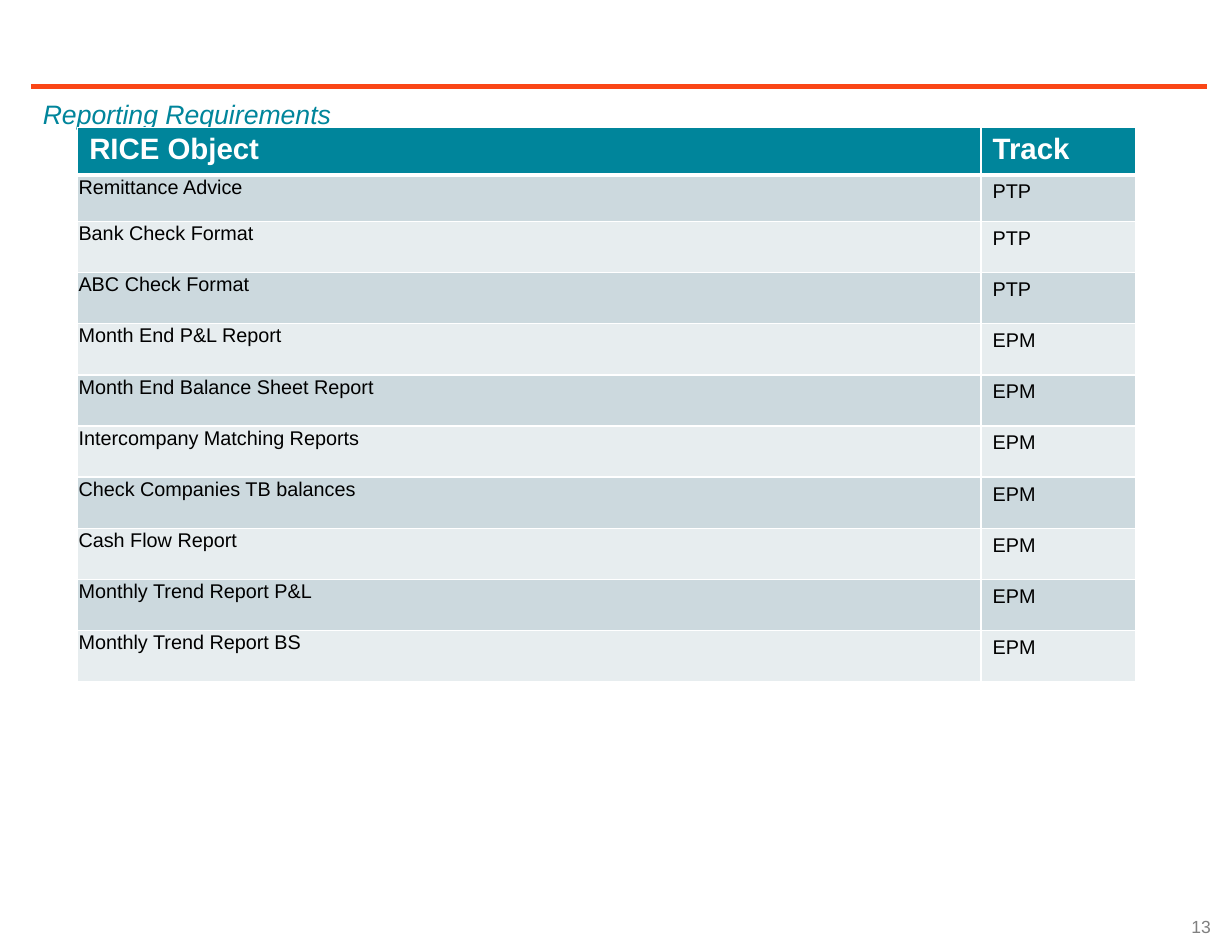
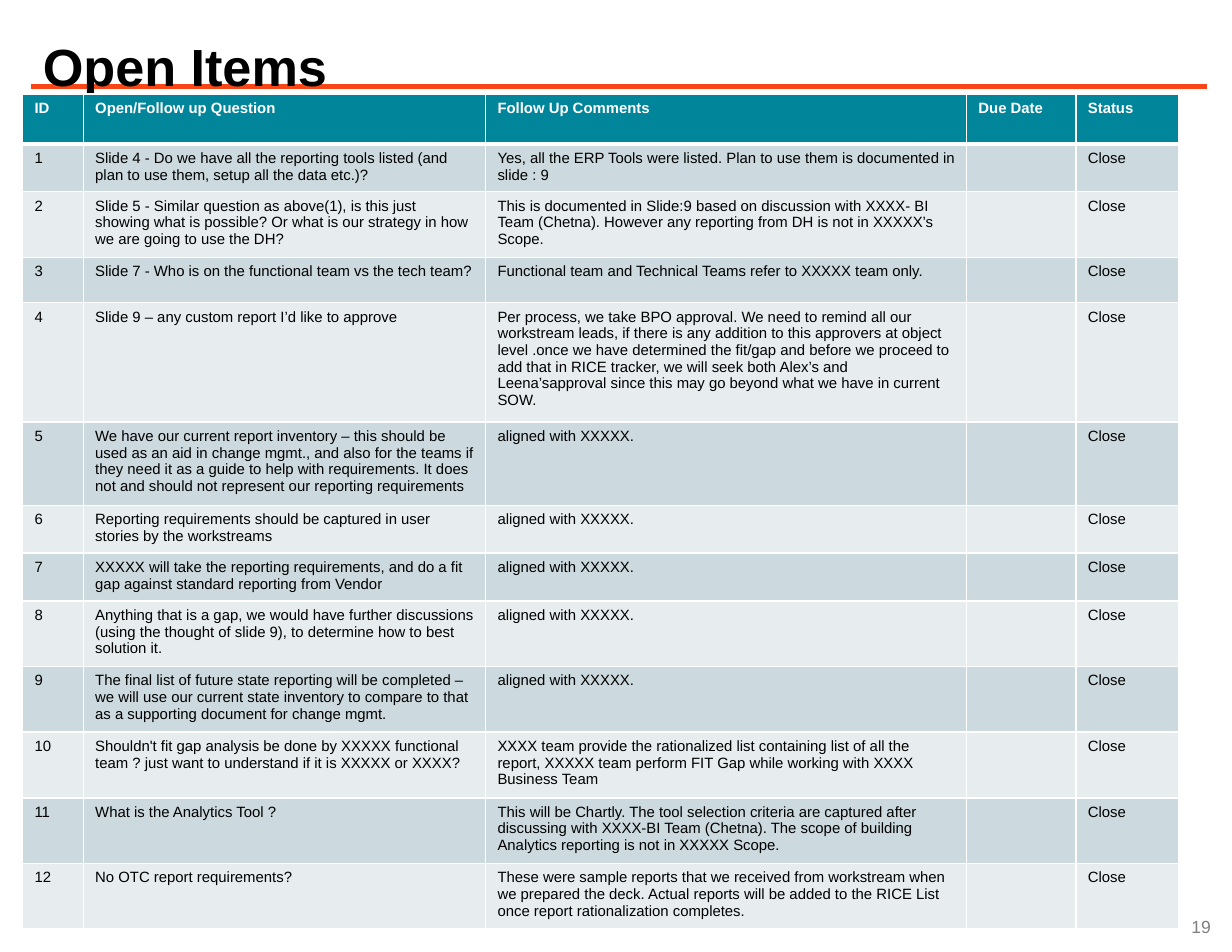
from pptx import Presentation
from pptx.dml.color import RGBColor
from pptx.enum.shapes import MSO_CONNECTOR as Link
from pptx.enum.text import MSO_ANCHOR as Anchor, MSO_AUTO_SIZE as Fit, PP_ALIGN as Align
from pptx.oxml.ns import qn
from pptx.util import Inches, Pt
from lxml.etree import SubElement

WIDE, HIGH = 10.35, 8
EDGE, SPAN, RULE = 0.26, 9.88, 0.73
FONT = "Arial"
TEAL, ORANGE, GREY = "00859B", "FA4616", "808080"
BLACK, WHITE = "000000", "FFFFFF"
BANDS = "CCD9DE", "E7EDEF"

REPORTS = [
    ("RICE Object", "Track"),
    ("Remittance Advice", "PTP"),
    ("Bank Check Format", "PTP"),
    ("ABC Check Format", "PTP"),
    ("Month End P&L Report", "EPM"),
    ("Month End Balance Sheet Report", "EPM"),
    ("Intercompany Matching Reports", "EPM"),
    ("Check Companies TB balances", "EPM"),
    ("Cash Flow Report", "EPM"),
    ("Monthly Trend Report P&L", "EPM"),
    ("Monthly Trend Report BS", "EPM"),
]

ALIGNED = "aligned with XXXXX."
# Lines of text in the row, question, comment
ITEMS = [
    (2, "Slide 4 - Do we have all the reporting tools listed (and plan to use them, "
        "setup all the data etc.)?",
     "Yes, all the ERP Tools were listed. Plan to use them is documented in slide : 9"),
    (3, "Slide 5 - Similar question as above(1), is this just showing what is possible? "
        "Or what is our strategy in how we are going to use the DH?",
     "This is documented in Slide:9 based on discussion with XXXX- BI Team (Chetna). "
     "However any reporting from DH is not in XXXXX’s Scope."),
    (2, "Slide 7 - Who is on the functional team vs the tech team?",
     "Functional team and Technical Teams refer to XXXXX team only."),
    (6, "Slide 9 – any custom report I’d like to approve",
     "Per process, we take BPO approval. We need to remind all our workstream leads, "
     "if there is any addition to this approvers at object level .once we have "
     "determined the fit/gap and before we proceed to add that in RICE tracker, we "
     "will seek both Alex’s and Leena’sapproval since this may go beyond what we "
     "have in current SOW."),
    (4, "We have our current report inventory – this should be used as an aid in change "
        "mgmt., and also for the teams if they need it as a guide to help with "
        "requirements. It does not and should not represent our reporting requirements",
     ALIGNED),
    (2, "Reporting requirements should be captured in user stories by the workstreams",
     ALIGNED),
    (2, "XXXXX will take the reporting requirements, and do a fit gap against standard "
        "reporting from Vendor", ALIGNED),
    (3, "Anything that is a gap, we would have further discussions (using the thought "
        "of slide 9), to determine how to best solution it.", ALIGNED),
    (3, "The final list of future state reporting will be completed – we will use our "
        "current state inventory to compare to that as a supporting document for "
        "change mgmt.", ALIGNED),
    (3, "Shouldn't fit gap analysis be done by XXXXX functional team ? just want to "
        "understand if it is XXXXX or XXXX?",
     "XXXX team provide the rationalized list containing list of all the report, "
     "XXXXX team perform FIT Gap while working with XXXX Business Team"),
    (3, "What is the Analytics Tool ?",
     "This will be Chartly. The tool selection criteria are captured after discussing "
     "with XXXX-BI Team (Chetna). The scope of building Analytics reporting is not in "
     "XXXXX Scope."),
    (3, "No OTC report requirements?",
     "These were sample reports that we received from workstream when we prepared the "
     "deck. Actual reports will be added to the RICE List once report rationalization "
     "completes."),
]
HEADS = ("ID", "Open/Follow up Question", "Follow Up Comments", "Due Date", "Status")


def color(text):
    return RGBColor.from_string(text)


def style(para, size, tint, bold=False, italic=False):
    font = para.font
    font.name, font.size, font.bold, font.italic = FONT, Pt(size), bold, italic
    font.color.rgb = color(tint)


def border(cell, head):
    """Give the cell white edges, with a thick one under the header."""
    props = cell._tc.get_or_add_tcPr()
    for side in "LRTB":
        width = Pt(3 if head and side == "B" else 1)
        line = SubElement(props, qn("a:ln" + side), w=str(width))
        SubElement(SubElement(line, qn("a:solidFill")), qn("a:srgbClr"), val=WHITE)


def grid(slide, data, left, top, cols, rows, sizes, tight=False):
    """Add a banded table; tight drops the margins of the first column's body."""
    box = [Inches(n) for n in (left, top, sum(cols), sum(rows))]
    table = slide.shapes.add_table(len(rows), len(cols), *box).table
    for col, width in zip(table.columns, cols):
        col.width = Inches(width)
    for r, (row, height) in enumerate(zip(data, rows)):
        table.rows[r].height = Inches(height)
        head = r == 0
        for c, text in enumerate(row):
            cell = table.cell(r, c)
            border(cell, head)
            cell.fill.solid()
            cell.fill.fore_color.rgb = color(TEAL if head else BANDS[(r - 1) % 2])
            if tight and c == 0 and not head:
                cell.margin_left = cell.margin_right = cell.margin_top = Inches(0.01)
                cell.margin_bottom = 0
            para = cell.text_frame.paragraphs[0]
            size = sizes[0 if head else 1]
            if text:
                para.text = text
            else:
                para._p.get_or_add_endParaRPr().set("sz", str(size * 100))
            style(para, size, WHITE if head else BLACK, bold=head)


def page(deck, title, top, height, inset, number, **look):
    """Add a slide with its title, the orange rule and the page number."""
    slide = deck.slides.add_slide(deck.slide_layouts[5])
    head = slide.shapes.title
    head.left, head.top, head.width, head.height = map(Inches, (EDGE, top, SPAN, height))
    frame = head.text_frame
    frame.text = title
    frame.auto_size, frame.vertical_anchor = Fit.NONE, Anchor.TOP
    frame.margin_top = Inches(inset)
    para = frame.paragraphs[0]
    para.alignment = Align.LEFT
    style(para, **look)

    ends = [Inches(n) for n in (EDGE, RULE, EDGE + SPAN, RULE)]
    rule = slide.shapes.add_connector(Link.STRAIGHT, *ends)
    rule.line.color.rgb, rule.line.width = color(ORANGE), Pt(3)
    SubElement(rule._element.spPr, qn("a:effectLst"))
    head._element.addprevious(rule._element)

    box = [Inches(n) for n in (7.94, HIGH - 0.43, 2.33, 0.43)]
    foot = slide.shapes.add_textbox(*box).text_frame
    foot.word_wrap, foot.vertical_anchor = True, Anchor.MIDDLE
    foot.text = str(number)
    foot.paragraphs[0].alignment = Align.RIGHT
    style(foot.paragraphs[0], 10.6, GREY)
    return slide


def main():
    deck = Presentation()
    deck.slide_width, deck.slide_height = Inches(WIDE), Inches(HIGH)

    slide = page(deck, "Reporting Requirements", 0.7, 0.44, 0.07, 13,
                 size=16.1, tint=TEAL, italic=True)
    slide.shapes.title.text_frame.paragraphs[0].line_spacing = 1.2
    grid(slide, REPORTS, 0.65, 1.07, (7.59, 1.3), [0.4, 0.39] + [0.43] * 9,
         (17.8, 12), tight=True)

    slide = page(deck, "Open Items", 0.19, 0.54, 0.1, 19,
                 size=31.6, tint=BLACK, bold=True)
    data = [HEADS] + [(str(n), ask, reply, "", "Close")
                      for n, (_, ask, reply) in enumerate(ITEMS, 1)]
    rows = [0.42] + [0.1 + 0.14 * lines for lines, *_ in ITEMS]
    grid(slide, data, 0.19, 0.79, (0.51, 3.38, 4.04, 0.92, 0.86), rows, (9, 9))

    deck.save("out.pptx")


if __name__ == "__main__":
    main()
